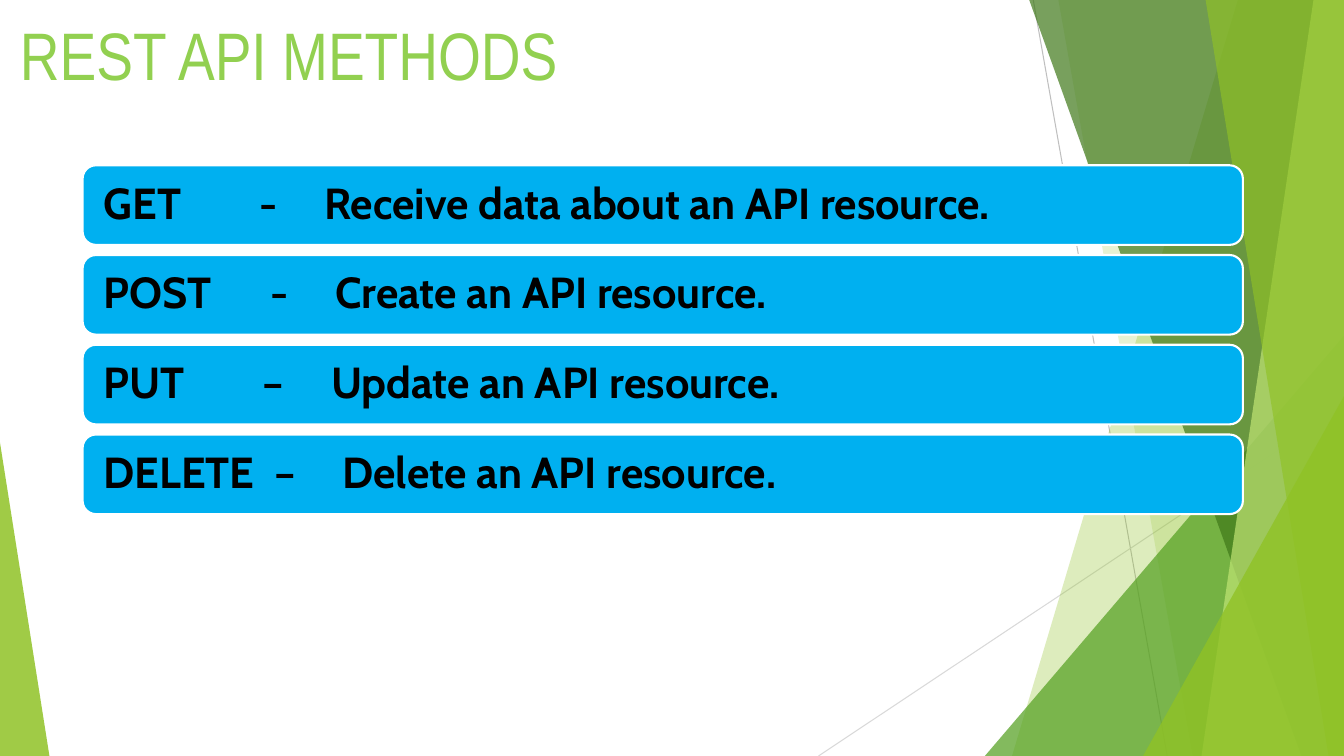
import pptx
import pptx.dml.color
import pptx.enum.shapes
import pptx.enum.text
import pptx.oxml
import pptx.oxml.ns
import pptx.util
from lxml import etree

SHAPES = pptx.enum.shapes.MSO_SHAPE


def color(hex_code):
    return pptx.dml.color.RGBColor.from_string(hex_code)


def add_xml(parent, tag, **attributes):
    child = etree.SubElement(parent, pptx.oxml.ns.qn(tag))
    for key, value in attributes.items():
        child.set(key, str(value))
    return child


class MethodsSlide:
    """Draws on one slide; every length is a percentage of its width or height."""

    title_font, body_font = "Arial Narrow", "Cabin"
    title_color, body_color, bar_color = "92D050", "000000", "00B0F0"

    def __init__(self, deck):
        self.width, self.height = deck.slide_width, deck.slide_height
        self.shapes = deck.slides.add_slide(deck.slide_layouts[6]).shapes

    def x(self, share):
        return round(self.width * share / 100)

    def y(self, share):
        return round(self.height * share / 100)

    def box(self, left, top, width, height):
        return self.x(left), self.y(top), self.x(width), self.y(height)

    def tint(self, shape, fill, opacity):
        """Give the shape a see-through fill without outline."""
        shape.shadow.inherit = False
        shape.line.fill.background()
        shape.fill.solid()
        shape.fill.fore_color.rgb = color(fill)
        solid = shape.fill._xPr.find(pptx.oxml.ns.qn("a:solidFill"))
        add_xml(solid[0], "a:alpha", val=opacity * 1000)

    def hairline(self, start, end, line_color):
        line = self.shapes.add_connector(
            pptx.enum.shapes.MSO_CONNECTOR.STRAIGHT,
            self.x(start[0]), self.y(start[1]), self.x(end[0]), self.y(end[1]))
        line.line.color.rgb = color(line_color)
        line.line.width = pptx.util.Pt(0.75)
        add_xml(line._element.spPr, "a:effectLst")

    def facet(self, top_left, bottom_left, fill, opacity):
        """Full-height band from a slanted left edge to the slide's right edge."""
        outline = self.shapes.build_freeform(self.x(top_left), 0)
        outline.add_line_segments([
            (self.width, 0), (self.width, self.height),
            (self.x(bottom_left), self.height)], close=True)
        self.tint(outline.convert_to_shape(), fill, opacity)

    def corner(self, left, top, width, apex, fill, opacity):
        """Right triangle standing on the slide's bottom edge."""
        triangle = self.shapes.add_shape(
            SHAPES.ISOSCELES_TRIANGLE, *self.box(left, top, width, 100 - top))
        triangle.adjustments[0] = apex
        self.tint(triangle, fill, opacity)

    def set_text(self, paragraph, text, font, size, text_color, bold=False):
        paragraph.text = text
        paragraph.alignment = pptx.enum.text.PP_ALIGN.LEFT
        for run in paragraph.runs:
            run.font.name = font
            run.font.size = pptx.util.Pt(size)
            run.font.bold = bold
            run.font.color.rgb = color(text_color)

    def title(self, text):
        frame = self.shapes.add_textbox(*self.box(0.75, 1.07, 84.9, 12.13)).text_frame
        frame.word_wrap = True
        frame.auto_size = pptx.enum.text.MSO_AUTO_SIZE.SHAPE_TO_FIT_TEXT
        self.set_text(frame.paragraphs[0], text, self.title_font, 48, self.title_color)

    def method_bar(self, row, texts, tab_stops):
        bar = self.shapes.add_shape(
            SHAPES.ROUNDED_RECTANGLE,
            *self.box(6.15, 21.87 + 11.87 * row, 86.33, 10.53))
        bar.shadow.inherit = False
        bar.fill.solid()
        bar.fill.fore_color.rgb = color(self.bar_color)
        bar.line.color.rgb = color("FFFFFF")
        bar.line.width = pptx.util.Pt(1.5)
        frame = bar.text_frame
        frame.word_wrap = True
        frame.vertical_anchor = pptx.enum.text.MSO_ANCHOR.MIDDLE
        frame.margin_left = frame.margin_right = self.x(1.28)
        paragraph = frame.paragraphs[0]
        self.set_text(paragraph, "\t".join(texts), self.body_font, 31, self.body_color, True)
        paragraph.line_spacing = 0.9
        tabs = add_xml(paragraph._p.get_or_add_pPr(), "a:tabLst")
        for stop in tab_stops:
            add_xml(tabs, "a:tab", pos=self.x(stop), algn="l")


# top left, bottom left, fill, opacity
BACK_FACETS = [(92.1, 75.3, "90C226", 30), (78.75, 88.73, "90C226", 20)]
FRONT_FACETS = [
    (76.58, 96.83, "3F7819", 70),
    (97.73, 89.4, "C0E474", 70),
    (89.7, 98.85, "90C226", 65),
]
# method, dash, description, tab stop of the dash
METHODS = [
    ("GET", "-", "Receive data about an API resource.", 11.63),
    ("POST", "-", "Create an API resource.", 12.45),
    ("PUT", "–", "Update an API resource.", 11.85),
    ("DELETE", "–", "Delete an API resource.", 12.68),
]
DASH_ADVANCE = {"-": 4.8, "–": 5.1}


def main():
    deck = pptx.Presentation()
    deck.slide_width = pptx.util.Inches(13.33)
    deck.slide_height = pptx.util.Inches(7.5)
    slide = MethodsSlide(deck)

    slide.hairline((76.88, 0), (86.85, 100), "BFBFBF")
    slide.hairline((100, 53.73), (60.9, 100), "D9D9D9")
    for facet in BACK_FACETS:
        slide.facet(*facet)
    slide.corner(73.28, 44.4, 26.72, 1, "54A021", 72)
    for facet in FRONT_FACETS:
        slide.facet(*facet)
    slide.corner(85.05, 52.4, 14.95, 1, "90C226", 80)
    slide.corner(0, 58.53, 3.68, 0, "90C226", 85)

    slide.title("REST API METHODS")
    for row, (method, dash, description, dash_stop) in enumerate(METHODS):
        stops = (dash_stop, dash_stop + DASH_ADVANCE[dash])
        slide.method_bar(row, (method, dash, description), stops)

    deck.save("out.pptx")


if __name__ == "__main__":
    main()
